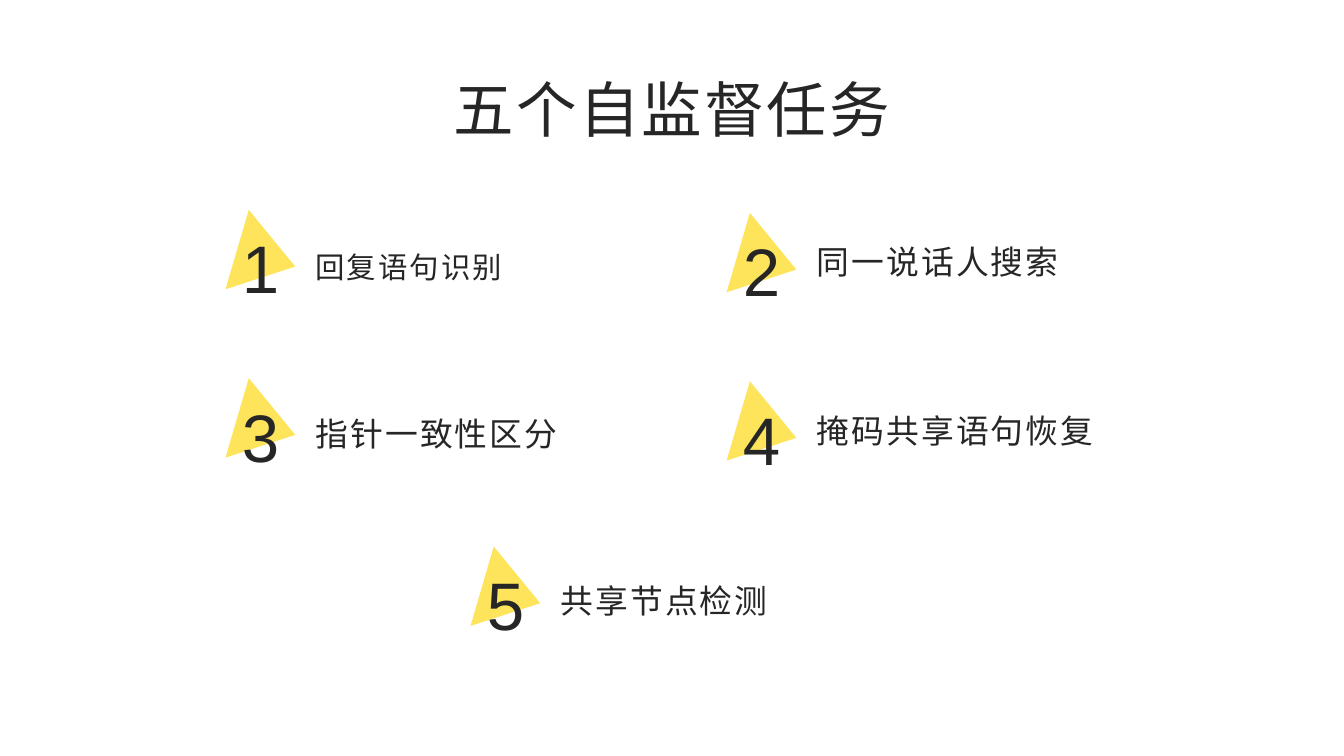
from dataclasses import dataclass

from pptx import Presentation
from pptx.dml.color import RGBColor as RGB
from pptx.enum.shapes import MSO_SHAPE as Shape
from pptx.enum.text import MSO_ANCHOR as Anchor, MSO_AUTO_SIZE as Fit, PP_ALIGN as Align
from pptx.util import Inches, Pt

TITLE = "五个自监督任务"
TASKS = [
    ("回复语句识别", "left", 0, 21),
    ("同一说话人搜索", "right", 0, 23.4),
    ("指针一致性区分", "left", 1, 23.4),
    ("掩码共享语句恢复", "right", 1, 23.4),
    ("共享节点检测", "middle", 2, 23.4),
]
COLUMNS = {"left": (2.23, 0, 0.11), "middle": (4.66, 0, 0.1), "right": (7.2, 0.03, 0.05)}
TOP, PITCH = 2.26, 1.67


@dataclass(frozen=True)
class Theme:
    font: str = "Arial"
    ink: RGB = RGB(0x26, 0x26, 0x26)
    accent: RGB = RGB(0xFD, 0xE4, 0x5A)
    title: float = 43.2
    number: float = 48
    spacing: int = 150


THEME = Theme()


def box(*lengths):
    return [Inches(v) for v in lengths]


def write(sp, text, size, anchor=Anchor.BOTTOM, align=Align.LEFT, spacing=THEME.spacing):
    tf = sp.text_frame
    tf.word_wrap = True
    tf.auto_size = Fit.NONE
    tf.vertical_anchor = anchor
    p = tf.paragraphs[0]
    p.alignment = align
    r = p.add_run()
    r.text = text
    if spacing:
        r._r.get_or_add_rPr().set("spc", str(spacing))
    p.font.name = THEME.font
    p.font.size = Pt(size)
    p.font.color.rgb = THEME.ink


def add_task(s, number, label, column, row, size):
    left, drop, label_drop = COLUMNS[column]
    top = TOP + row * PITCH + drop
    sp = s.shapes.add_shape(Shape.ISOSCELES_TRIANGLE, *box(left, top, 0.82, 0.6))
    sp.rotation = 106.3
    sp.shadow.inherit = False
    sp.fill.solid()
    sp.fill.fore_color.rgb = THEME.accent
    sp.line.fill.background()
    digit = s.shapes.add_textbox(*box(left + 0.07, top - 0.06, 0.69, 0.91))
    write(digit, str(number), THEME.number, Anchor.TOP, spacing=0)
    caption = s.shapes.add_textbox(*box(left + 0.8, top + label_drop, 3.15, 0.5))
    write(caption, label, size)


def main():
    prs = Presentation()
    prs.slide_width, prs.slide_height = box(13.33, 7.5)
    s = prs.slides.add_slide(prs.slide_layouts[5])
    title = s.shapes.title
    title.left, title.top, title.width, title.height = box(4.32, 0.48, 4.69, 1.01)
    write(title, TITLE, THEME.title, align=Align.CENTER)
    for number, task in enumerate(TASKS, 1):
        add_task(s, number, *task)
    prs.save("out.pptx")


if __name__ == "__main__":
    main()
